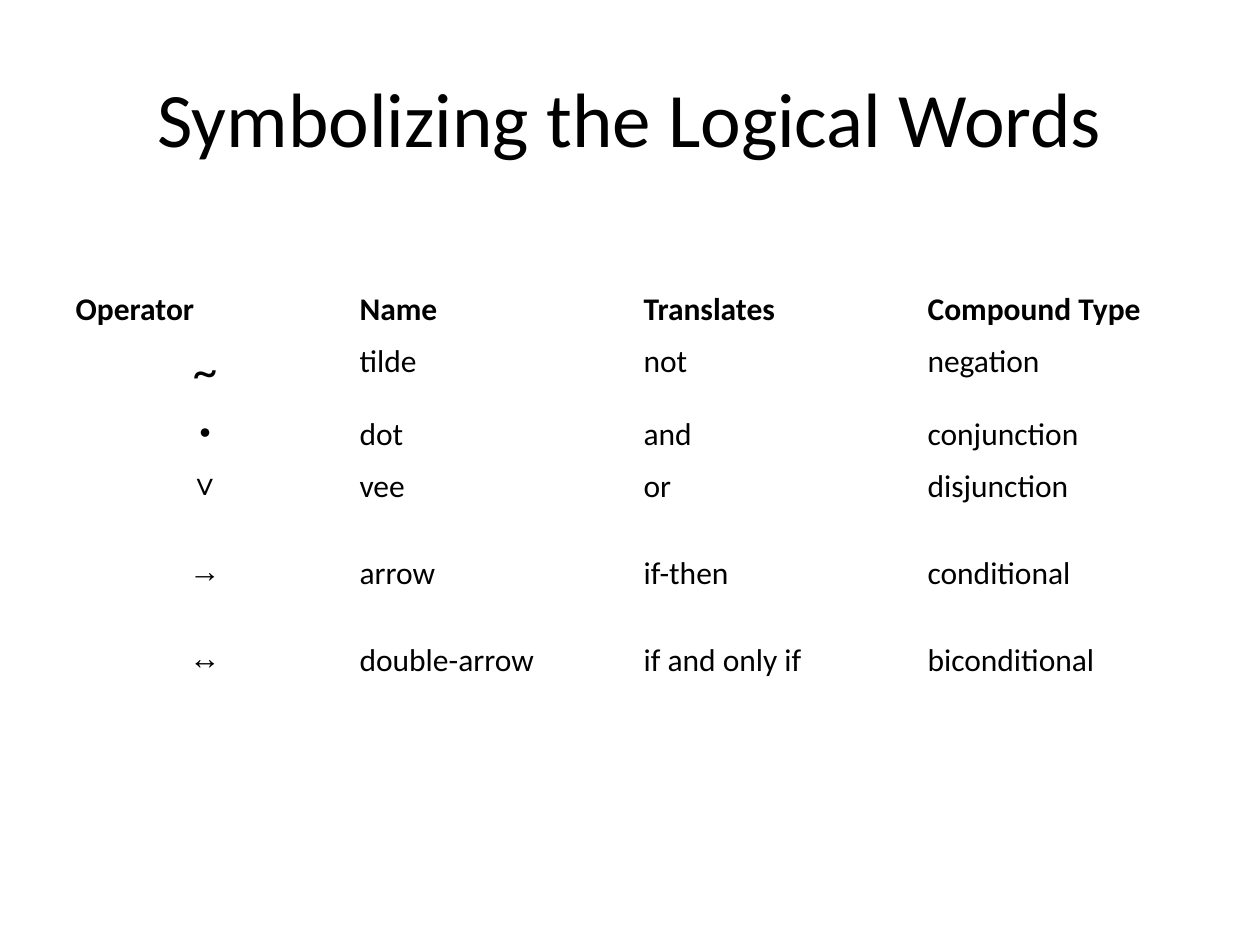
"""Build a slide with a table of logical operators and their symbols."""
from lxml.etree import SubElement
from pptx import Presentation
from pptx.dml.color import RGBColor
from pptx.enum.text import MSO_ANCHOR, PP_ALIGN
from pptx.oxml import parse_xml
from pptx.oxml.ns import nsdecls, qn
from pptx.util import Pt

COLORS = {"text": "000000", "cell": "FFFFFF", "border": "FFFFFF"}
BODY_FONT, SYMBOL_FONT = "Calibri", "Arial"
CELL_OPACITY = 47
THIN, THICK = 0.45, 1.47
COLUMN_WIDTH = 284
ROW_HEIGHTS = [52, 73, 52, 87, 87, 87]
OPERATORS = [
    ("Operator", "Name", "Translates", "Compound Type"),
    ("~", "tilde", "not", "negation"),
    ("•", "dot", "and", "conjunction"),
    ("∨", "vee", "or", "disjunction"),
    ("→", "arrow", "if-then", "conditional"),
    ("↔", "double-arrow", "if and only if", "biconditional"),
]


class SlideBuilder:
    def __init__(self, width, height):
        self.deck = Presentation()
        self.deck.slide_width = self.emu(width)
        self.deck.slide_height = self.emu(height)
        self.page = self.deck.slides.add_slide(self.deck.slide_layouts[6])

    def emu(self, pixels):
        return round(pixels * 914400 / 126)

    def set_text(self, frame, text, size, font=BODY_FONT, bold=False, align=PP_ALIGN.LEFT):
        frame.text = text
        para = frame.paragraphs[0]
        para.alignment = align
        for span in para.runs:
            span.font.name = font
            span.font.size = Pt(size)
            span.font.bold = bold
            span.font.color.rgb = RGBColor.from_string(COLORS["text"])

    def title(self, left, top, width, height, text):
        box = self.page.shapes.add_textbox(*map(self.emu, (left, top, width, height)))
        box.text_frame.word_wrap = True
        box.text_frame.vertical_anchor = MSO_ANCHOR.MIDDLE
        self.set_text(box.text_frame, text, 44, align=PP_ALIGN.CENTER)

    def paint_cell(self, cell, top, bottom):
        cell.fill.solid()
        cell.fill.fore_color.rgb = RGBColor.from_string(COLORS["cell"])
        properties = cell._tc.get_or_add_tcPr()
        fill_color = properties.find(qn("a:solidFill"))[0]
        SubElement(fill_color, qn("a:alpha")).set("val", str(CELL_OPACITY * 1000))
        edges = {"lnL": THIN, "lnR": THIN, "lnT": top, "lnB": bottom}
        for index, (edge, points) in enumerate(edges.items()):
            properties.insert(index, parse_xml(
                f'<a:{edge} {nsdecls("a")} w="{Pt(points)}"><a:solidFill>'
                f'<a:srgbClr val="{COLORS["border"]}"/></a:solidFill></a:{edge}>'))

    def table(self, left, top, column_width, row_heights, rows):
        column_count = len(rows[0])
        size = (column_width * column_count, sum(row_heights))
        grid = self.page.shapes.add_table(
            len(rows), column_count, *map(self.emu, (left, top, *size))).table
        grid.horz_banding = False
        for column in grid.columns:
            column.width = self.emu(column_width)
        for row, height in zip(grid.rows, row_heights):
            row.height = self.emu(height)
        for row_index, words in enumerate(rows):
            header = row_index == 0
            for column_index, word in enumerate(words):
                cell = grid.cell(row_index, column_index)
                symbol = column_index == 0 and not header
                self.set_text(
                    cell.text_frame, word,
                    size=28 if word == "~" else 18,
                    font=SYMBOL_FONT if symbol and word != "~" else BODY_FONT,
                    bold=header,
                    align=PP_ALIGN.CENTER if symbol else PP_ALIGN.LEFT)
                self.paint_cell(cell, THICK if row_index == 1 else THIN,
                                THICK if header else THIN)


def main():
    slide = SlideBuilder(1260, 945)
    slide.table(63, 284, COLUMN_WIDTH, ROW_HEIGHTS, OPERATORS)
    slide.title(63, 38, 1134, 158, "Symbolizing the Logical Words")
    slide.deck.save("out.pptx")


if __name__ == "__main__":
    main()
